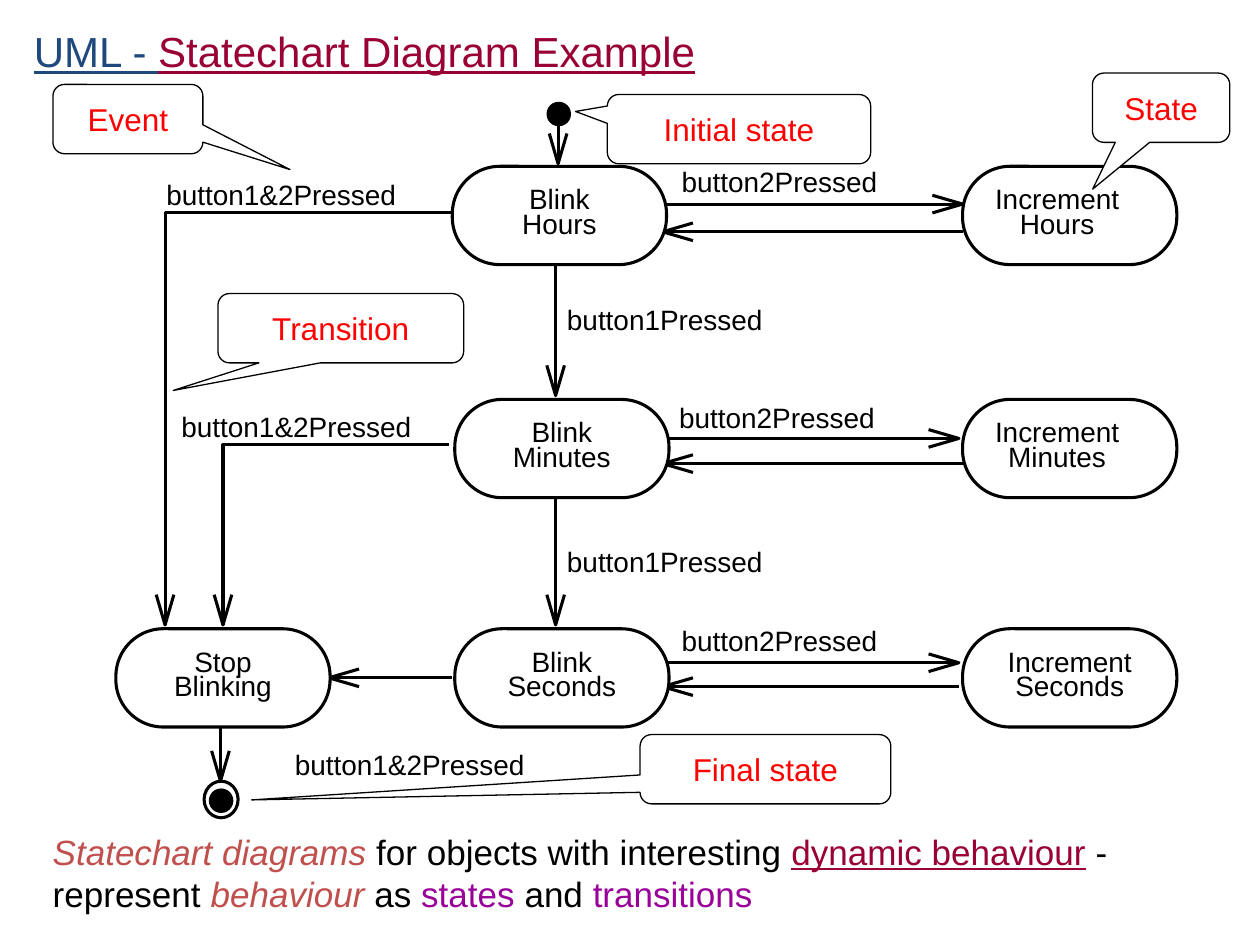
from math import hypot

from lxml.etree import SubElement
from pptx import Presentation
from pptx.dml.color import RGBColor
from pptx.enum.shapes import MSO_CONNECTOR, MSO_SHAPE
from pptx.enum.text import MSO_ANCHOR, PP_ALIGN
from pptx.oxml.ns import qn
from pptx.util import Inches, Pt

BLACK = RGBColor(0x00, 0x00, 0x00)
WHITE = RGBColor(0xFF, 0xFF, 0xFF)
RED = RGBColor(0xFF, 0x00, 0x00)
NAVY = RGBColor(0x1F, 0x49, 0x7D)
CRIMSON = RGBColor(0x99, 0x00, 0x33)
BRICK = RGBColor(0xC0, 0x50, 0x4D)
PURPLE = RGBColor(0x99, 0x00, 0x99)

FONT = "Arial"
DIAGRAM_LINE = 1.75
STATE_SIZE = (1.7, 0.78)
HEAD_LENGTH, HEAD_HALF_WIDTH = 0.24, 0.07
ROWS = (1.32, 3.17, 4.99)

TITLE = [("UML - ", NAVY, False, True), ("Statechart Diagram Example", CRIMSON, False, True)]
SUMMARY = [
    ("Statechart diagrams", BRICK, True, False),
    (" for objects with interesting ", BLACK, False, False),
    ("dynamic behaviour", CRIMSON, False, True),
    (" - represent ", BLACK, False, False),
    ("behaviour", BRICK, True, False),
    (" as ", BLACK, False, False),
    ("states ", PURPLE, False, False),
    ("and ", BLACK, False, False),
    ("transitions", PURPLE, False, False),
]
STATES = [
    (("Blink", "Hours"), 3.59, ROWS[0], 0),
    (("Blink", "Minutes"), 3.61, ROWS[1], 0),
    (("Blink", "Seconds"), 3.61, ROWS[2], 0),
    (("Increment", "Hours"), 7.64, ROWS[0], 0.2),
    (("Increment", "Minutes"), 7.64, ROWS[1], 0.2),
    (("Increment", "Seconds"), 7.64, ROWS[2], 0),
    (("Stop", "Blinking"), 0.92, ROWS[2], 0),
]
TRANSITIONS = [
    [(4.43, 0.91), (4.43, 1.3)],
    [(4.41, 2.08), (4.41, 3.14)],
    [(4.41, 3.92), (4.41, 4.96)],
    [(5.26, 1.62), (7.64, 1.62)],
    [(7.64, 1.84), (5.26, 1.84)],
    [(5.26, 3.48), (7.61, 3.48)],
    [(7.66, 3.68), (5.26, 3.68)],
    [(5.23, 5.26), (7.61, 5.26)],
    [(7.61, 5.45), (5.26, 5.45)],
    [(3.59, 5.38), (2.61, 5.38)],
    [(1.75, 5.76), (1.75, 6.2)],
    [(3.59, 1.69), (1.31, 1.69), (1.31, 4.96)],
    [(3.56, 3.53), (1.77, 3.53), (1.77, 4.96)],
]
LABELS = [
    ("button1&2Pressed", 1.32, 1.41),
    ("button1&2Pressed", 1.44, 3.25),
    ("button1&2Pressed", 2.34, 5.93),
    ("button1Pressed", 4.5, 2.4),
    ("button1Pressed", 4.5, 4.32),
    ("button2Pressed", 5.41, 1.31),
    ("button2Pressed", 5.39, 3.18),
    ("button2Pressed", 5.41, 4.95),
]
MARKERS = [
    (4.35, 0.82, 0.17, 0.17, BLACK),
    (1.67, 6.27, 0.17, 0.17, BLACK),
    (1.62, 6.2, 0.27, 0.29, None),
]
CALLOUTS = [
    ("State", 8.67, 0.58, 1.09, (-0.498, 1.175)),
    ("Initial state", 4.82, 0.75, 2.09, (-0.621, -0.255)),
    ("Final state", 5.08, 5.83, 1.99, (-2.049, 0.443)),
    ("Transition", 1.73, 2.33, 1.95, (-0.682, 0.898)),
    ("Event", 0.42, 0.67, 1.19, (1.081, 0.729)),
]


def set_font(font, size, color):
    font.name = FONT
    font.size = Pt(size)
    font.color.rgb = color


def add_outlined(slide, kind, box, fill, width=DIAGRAM_LINE):
    shape = slide.shapes.add_shape(kind, *map(Inches, box))
    shape.shadow.inherit = False
    if fill is None:
        shape.fill.background()
    else:
        shape.fill.solid()
        shape.fill.fore_color.rgb = fill
    shape.line.color.rgb = BLACK
    shape.line.width = Pt(width)
    return shape


def add_polyline(slide, points):
    corners = [(Inches(x), Inches(y)) for x, y in points]
    builder = slide.shapes.build_freeform(*corners[0])
    builder.add_line_segments(corners[1:], close=False)
    shape = builder.convert_to_shape()
    shape.shadow.inherit = False
    shape.fill.background()
    shape.line.color.rgb = BLACK
    shape.line.width = Pt(DIAGRAM_LINE)


def add_transition(slide, points):
    (from_x, from_y), (tip_x, tip_y) = points[-2:]
    if len(points) == 2:
        line = slide.shapes.add_connector(
            MSO_CONNECTOR.STRAIGHT, *map(Inches, (from_x, from_y, tip_x, tip_y))
        )
        line.line.color.rgb = BLACK
        line.line.width = Pt(DIAGRAM_LINE)
        SubElement(line.element.spPr, qn("a:effectLst"))
    else:
        add_polyline(slide, points)
    length = hypot(tip_x - from_x, tip_y - from_y)
    unit_x, unit_y = (tip_x - from_x) / length, (tip_y - from_y) / length
    base_x, base_y = tip_x - HEAD_LENGTH * unit_x, tip_y - HEAD_LENGTH * unit_y
    side_x, side_y = -HEAD_HALF_WIDTH * unit_y, HEAD_HALF_WIDTH * unit_x
    add_polyline(slide, [
        (base_x + side_x, base_y + side_y),
        (tip_x, tip_y),
        (base_x - side_x, base_y - side_y),
    ])


def add_state(slide, lines, left, top, right_inset):
    shape = add_outlined(slide, MSO_SHAPE.ROUNDED_RECTANGLE, (left, top, *STATE_SIZE), WHITE)
    shape.adjustments[0] = 0.484
    frame = shape.text_frame
    frame.margin_left = frame.margin_top = frame.margin_bottom = 0
    frame.margin_right = Inches(right_inset)
    frame.vertical_anchor = MSO_ANCHOR.MIDDLE
    frame.text = "\n".join(lines)
    for paragraph in frame.paragraphs:
        paragraph.alignment = PP_ALIGN.CENTER
        paragraph.line_spacing = Pt(14)
        set_font(paragraph.font, 16, BLACK)


def add_label(slide, text, left, top):
    box = slide.shapes.add_textbox(Inches(left), Inches(top), Inches(1.96), Inches(0.27))
    frame = box.text_frame
    frame.word_wrap = True
    frame.margin_left = frame.margin_top = frame.margin_right = frame.margin_bottom = 0
    frame.text = text
    set_font(frame.paragraphs[0].font, 16, BLACK)


def add_callout(slide, text, left, top, width, pointer):
    shape = add_outlined(
        slide, MSO_SHAPE.ROUNDED_RECTANGULAR_CALLOUT, (left, top, width, 0.55), WHITE, 0.75
    )
    shape.adjustments[0], shape.adjustments[1] = pointer
    frame = shape.text_frame
    frame.vertical_anchor = MSO_ANCHOR.MIDDLE
    frame.text = text
    paragraph = frame.paragraphs[0]
    paragraph.alignment = PP_ALIGN.CENTER
    set_font(paragraph.font, 18, RED)


def add_rich_text(slide, runs, box, size, anchor):
    frame = slide.shapes.add_textbox(*map(Inches, box)).text_frame
    frame.word_wrap = True
    frame.vertical_anchor = anchor
    for text, color, italic, underline in runs:
        run = frame.paragraphs[0].add_run()
        run.text = text
        set_font(run.font, size, color)
        run.font.italic = italic
        run.font.underline = underline


def main():
    presentation = Presentation()
    presentation.slide_width, presentation.slide_height = Inches(10), Inches(7.5)
    slide = presentation.slides.add_slide(presentation.slide_layouts[6])
    for points in TRANSITIONS:
        add_transition(slide, points)
    for label in LABELS:
        add_label(slide, *label)
    for *box, fill in MARKERS:
        add_outlined(slide, MSO_SHAPE.OVAL, box, fill)
    for state in STATES:
        add_state(slide, *state)
    add_rich_text(slide, TITLE, (0.17, 0.17, 7.5, 0.47), 24, MSO_ANCHOR.MIDDLE)
    for callout in CALLOUTS:
        add_callout(slide, *callout)
    add_rich_text(slide, SUMMARY, (0.32, 6.54, 9.52, 0.77), 20, MSO_ANCHOR.TOP)
    presentation.save("out.pptx")


if __name__ == "__main__":
    main()
